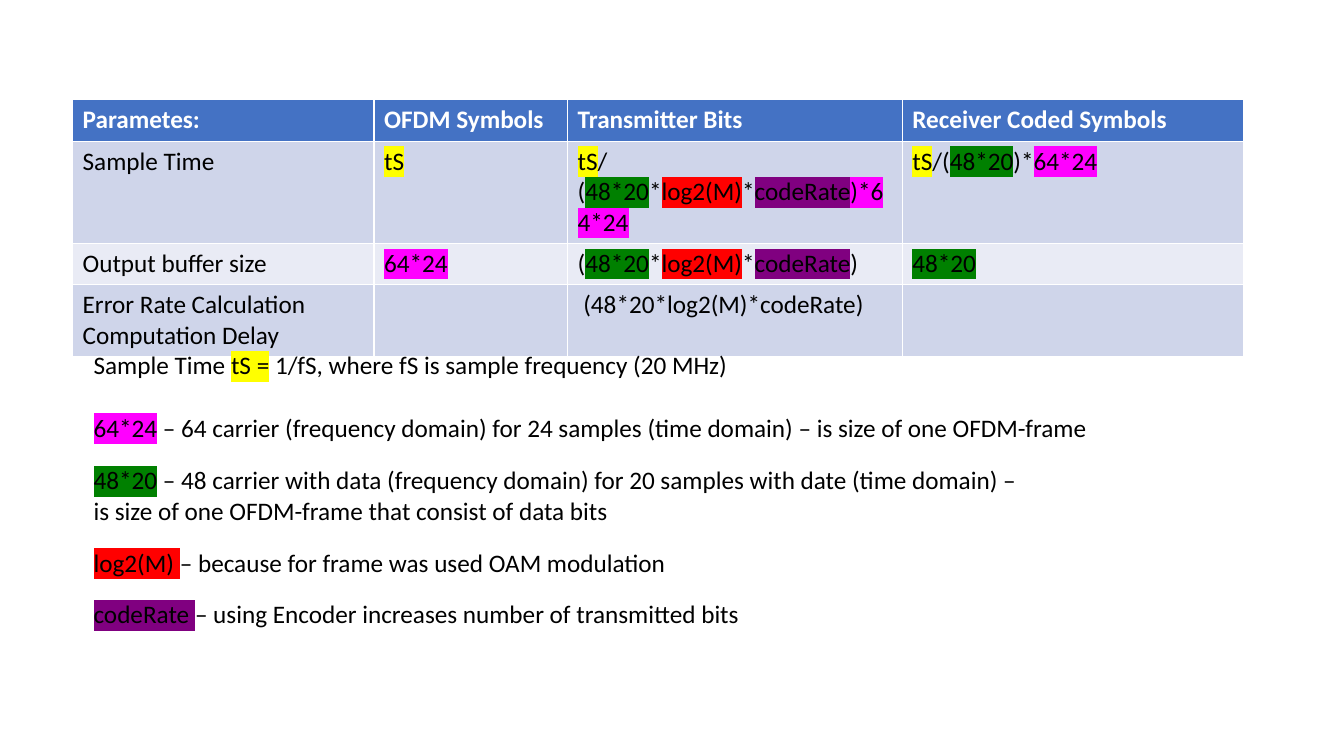
from lxml.etree import SubElement
from pptx import Presentation
from pptx.dml.color import RGBColor
from pptx.enum.text import MSO_AUTO_SIZE as AutoSize
from pptx.oxml.ns import qn
from pptx.util import Inches, Pt

FONT = "Calibri"
BLACK = RGBColor(0x00, 0x00, 0x00)
WHITE = RGBColor(0xFF, 0xFF, 0xFF)
HEADER_BLUE = RGBColor(0x44, 0x72, 0xC4)
BAND_DARK = RGBColor(0xCF, 0xD5, 0xEA)
BAND_LIGHT = RGBColor(0xE9, 0xEB, 0xF5)
YELLOW = RGBColor(0xFF, 0xFF, 0x00)
GREEN = RGBColor(0x00, 0x80, 0x00)
RED = RGBColor(0xFF, 0x00, 0x00)
PURPLE = RGBColor(0x80, 0x00, 0x80)
MAGENTA = RGBColor(0xFF, 0x00, 0xFF)

# Highlighted terms of the formulas
SAMPLE_TIME = ("tS", YELLOW)
FRAME_SIZE = ("64*24", MAGENTA)
DATA_SIZE = ("48*20", GREEN)
MODULATION = ("log2(M)", RED)
CODE_RATE = ("codeRate", PURPLE)
BITS_PER_FRAME = [DATA_SIZE, "*", MODULATION, "*", CODE_RATE]

# Each cell or note is a list of paragraphs, each paragraph a list of pieces
HEADINGS = ["Parametes:", "OFDM Symbols", "Transmitter Bits", "Receiver Coded Symbols"]
PARAMETERS = [
    [[["Sample Time"]],
     [[SAMPLE_TIME]],
     [[SAMPLE_TIME, "/(", *BITS_PER_FRAME, (")*64*24", MAGENTA)]],
     [[SAMPLE_TIME, "/(", DATA_SIZE, ")*", FRAME_SIZE]]],
    [[["Output buffer size"]],
     [[FRAME_SIZE]],
     [["(", *BITS_PER_FRAME, ")"]],
     [[DATA_SIZE]]],
    [[["Error Rate Calculation"], ["Computation Delay"]],
     [],
     [[" (48*20*log2(M)*codeRate)"]],
     []],
]
COLUMN_WIDTHS = [2.99, 1.92, 3.32, 3.39]
ROW_HEIGHT = 0.41

# Top, width, height and paragraphs of each note
NOTES = [
    (3.42, 6.57, 0.4,
     [["Sample Time ", ("tS =", YELLOW),
       " 1/fS, where fS is sample frequency (20 MHz)"]]),
    (4.04, 10.1, 0.4,
     [[FRAME_SIZE, " – 64 carrier (frequency domain) for 24 samples "
       "(time domain) – is size of one OFDM-frame"]]),
    (4.56, 9.53, 0.71,
     [[DATA_SIZE, " – 48 carrier with data (frequency domain) for 20 samples "
       "with date (time domain) –"],
      ["is size of one OFDM-frame that consist of data bits"]]),
    (5.38, 5.94, 0.4,
     [[("log2(M) ", RED), "– because for frame was used OAM modulation"]]),
    (5.89, 6.93, 0.4,
     [[("codeRate ", PURPLE), "– using Encoder increases number of transmitted bits"]]),
]


def add_text(paragraph, text, color=BLACK, bold=False, size=18, highlight=None):
    run = paragraph.add_run()
    run.text = text
    font = run.font
    font.size, font.bold = Pt(size), bold
    font.color.rgb = color
    if highlight is not None:
        mark = SubElement(font._element, qn("a:highlight"))
        SubElement(mark, qn("a:srgbClr"), val=str(highlight))
    font.name = FONT


def fill_frame(frame, paragraphs, **text_format):
    for index, pieces in enumerate(paragraphs):
        paragraph = frame.add_paragraph() if index else frame.paragraphs[0]
        for piece in pieces:
            text, highlight = (piece, None) if isinstance(piece, str) else piece
            add_text(paragraph, text, highlight=highlight, **text_format)


def fill_cell(cell, paragraphs, background, **text_format):
    cell.fill.solid()
    cell.fill.fore_color.rgb = background
    fill_frame(cell.text_frame, paragraphs, **text_format)


def add_parameter_table(slide):
    row_count = len(PARAMETERS) + 1
    table = slide.shapes.add_table(
        row_count, len(HEADINGS), Inches(0.72), Inches(0.99),
        Inches(sum(COLUMN_WIDTHS)), Inches(ROW_HEIGHT * row_count)).table
    for column, width in zip(table.columns, COLUMN_WIDTHS):
        column.width = Inches(width)
    for column, heading in enumerate(HEADINGS):
        fill_cell(table.cell(0, column), [[heading]], HEADER_BLUE,
                  color=WHITE, bold=True)
    for row, parameter in enumerate(PARAMETERS, start=1):
        band = BAND_DARK if row % 2 else BAND_LIGHT
        for column, paragraphs in enumerate(parameter):
            fill_cell(table.cell(row, column), paragraphs, band)


def add_note(slide, top, width, height, paragraphs):
    frame = slide.shapes.add_textbox(
        Inches(0.83), Inches(top), Inches(width), Inches(height)).text_frame
    frame.word_wrap = False
    frame.auto_size = AutoSize.SHAPE_TO_FIT_TEXT
    fill_frame(frame, paragraphs)


def main():
    deck = Presentation()
    deck.slide_width, deck.slide_height = Inches(13.33), Inches(7.5)
    slide = deck.slides.add_slide(deck.slide_layouts[6])

    # Parameter table
    add_parameter_table(slide)

    # Explanations of the highlighted terms
    for note in NOTES:
        add_note(slide, *note)

    deck.save("out.pptx")


if __name__ == "__main__":
    main()
